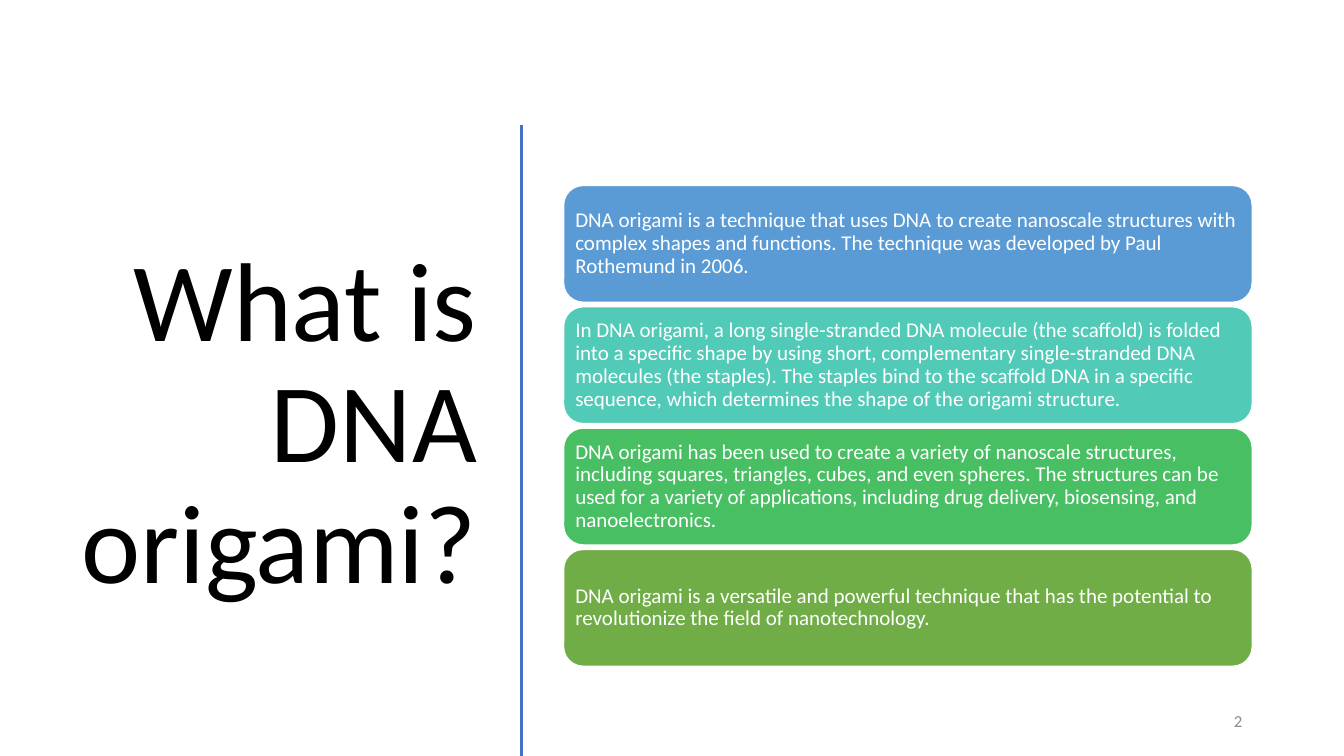
from lxml.etree import SubElement
from pptx import Presentation
from pptx.dml.color import RGBColor
from pptx.enum.shapes import MSO_CONNECTOR as Connector, MSO_SHAPE as Shape
from pptx.enum.text import MSO_ANCHOR as Anchor, PP_ALIGN as Align
from pptx.oxml.ns import qn
from pptx.util import Inches, Pt

BLACK = RGBColor(0x00, 0x00, 0x00)
WHITE = RGBColor(0xFF, 0xFF, 0xFF)
GRAY = RGBColor(0x8C, 0x8C, 0x8C)
RULE_BLUE = RGBColor(0x44, 0x72, 0xC4)
BLUE = RGBColor(0x5B, 0x9B, 0xD5)
TEAL = RGBColor(0x52, 0xCA, 0xB8)
GREEN = RGBColor(0x49, 0xBF, 0x64)
OLIVE = RGBColor(0x70, 0xAD, 0x47)

WIDTH, HEIGHT = 13.33, 7.5
FACTS = [
    (BLUE, "DNA origami is a technique that uses DNA to create nanoscale structures with "
           "complex shapes and functions. The technique was developed by Paul Rothemund in 2006."),
    (TEAL, "In DNA origami, a long single-stranded DNA molecule (the scaffold) is folded into a "
           "specific shape by using short, complementary single-stranded DNA molecules (the "
           "staples). The staples bind to the scaffold DNA in a specific sequence, which "
           "determines the shape of the origami structure."),
    (GREEN, "DNA origami has been used to create a variety of nanoscale structures, including "
            "squares, triangles, cubes, and even spheres. The structures can be used for a "
            "variety of applications, including drug delivery, biosensing, and nanoelectronics."),
    (OLIVE, "DNA origami is a versatile and powerful technique that has the potential to "
            "revolutionize the field of nanotechnology."),
]


def write(frame, text, size, color, align=Align.LEFT, spacing=1.0, inset=(0.1, 0.05)):
    """Fill a text frame with one vertically centred paragraph."""
    frame.word_wrap = True
    frame.vertical_anchor = Anchor.MIDDLE
    frame.margin_left = frame.margin_right = Inches(inset[0])
    frame.margin_top = frame.margin_bottom = Inches(inset[1])
    paragraph = frame.paragraphs[0]
    paragraph.alignment = align
    paragraph.line_spacing = spacing
    run = paragraph.add_run()
    run.text = text
    run.font.name = "Calibri"
    run.font.size = Pt(size)
    run.font.color.rgb = color


def add_text(slide, box, text, **style):
    """Place a text box in the given box."""
    label = slide.shapes.add_textbox(*map(Inches, box))
    write(label.text_frame, text, **style)


def add_divider(slide, x, top, bottom):
    """Draw the vertical rule between the title and the facts."""
    divider = slide.shapes.add_connector(
        Connector.STRAIGHT, Inches(x), Inches(top), Inches(x), Inches(bottom))
    divider.line.color.rgb = RULE_BLUE
    divider.line.width = Pt(2)
    SubElement(divider._element.spPr, qn("a:effectLst"))


def add_facts(slide, box, facts, gap):
    """Stack one rounded card per fact, equally spaced in the box."""
    left, top, width, height = box
    card_height = (height - gap * (len(facts) - 1)) / len(facts)
    for row, (color, text) in enumerate(facts):
        y = top + row * (card_height + gap)
        card = slide.shapes.add_shape(
            Shape.ROUNDED_RECTANGLE, *map(Inches, (left, y, width, card_height)))
        card.shadow.inherit = False
        card.fill.solid()
        card.fill.fore_color.rgb = color
        card.line.color.rgb = WHITE
        card.line.width = Pt(1)
        write(card.text_frame, text, size=15, color=WHITE, spacing=0.9, inset=(0.06, 0.06))


def main():
    """Build and save the slide."""
    deck = Presentation()
    deck.slide_width, deck.slide_height = Inches(WIDTH), Inches(HEIGHT)
    slide = deck.slides.add_slide(deck.slide_layouts[6])
    add_text(slide, (0.52, 1.17, 4.31, 6.11), "What is DNA origami?",
             size=80, color=BLACK, align=Align.RIGHT, spacing=0.9)
    add_divider(slide, 5.17, 1.24, HEIGHT)
    add_facts(slide, (5.59, 1.84, 6.83, 4.77), FACTS, gap=0.045)
    add_text(slide, (9.42, 6.95, 3, 0.4), "2", size=12, color=GRAY, align=Align.RIGHT)
    deck.save("out.pptx")


if __name__ == "__main__":
    main()
